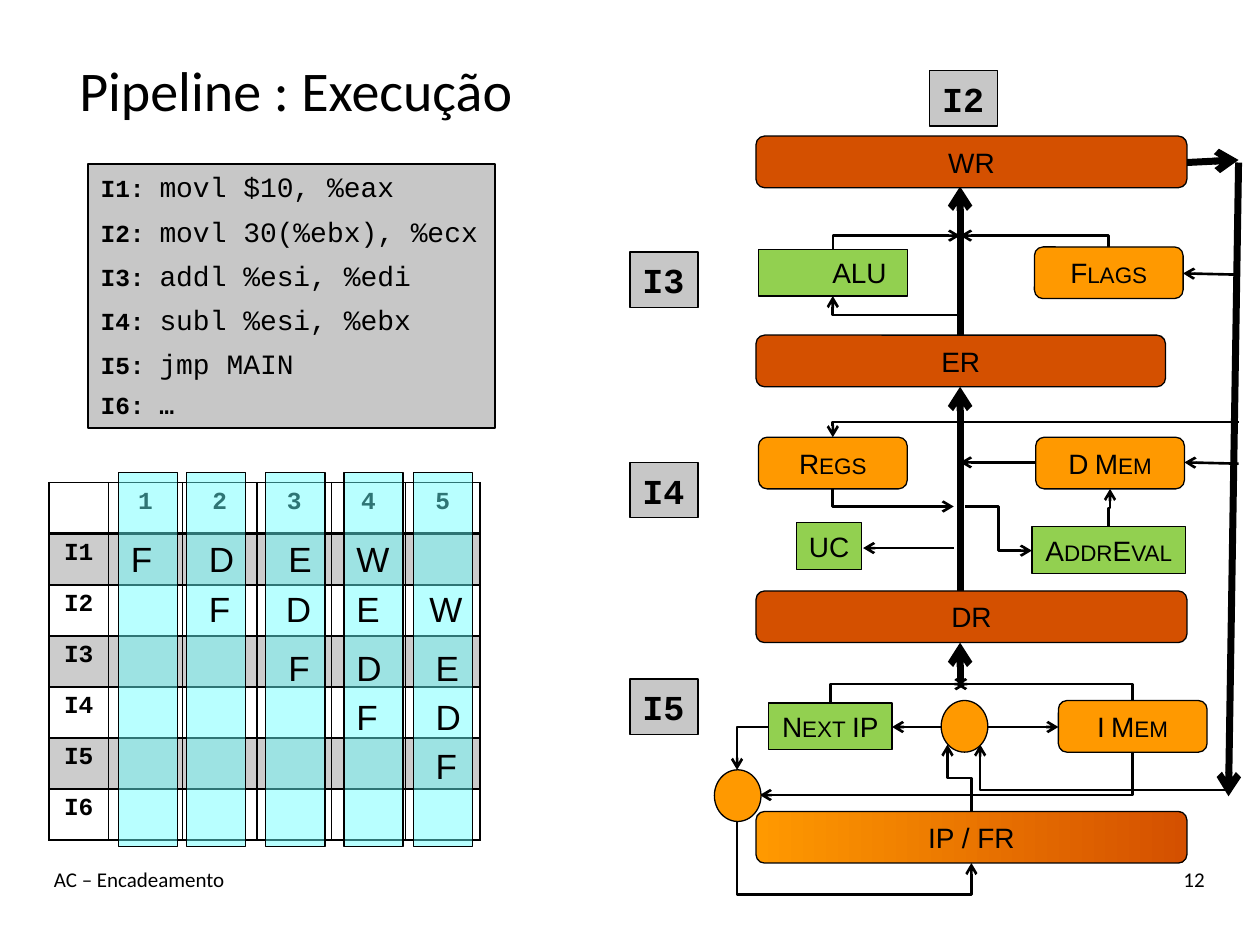
from dataclasses import dataclass
from typing import NamedTuple, Optional

from lxml.etree import SubElement
from pptx import Presentation
from pptx.dml.color import RGBColor
from pptx.enum.shapes import MSO_CONNECTOR, MSO_SHAPE
from pptx.enum.text import MSO_ANCHOR, PP_ALIGN
from pptx.oxml.ns import qn
from pptx.util import Inches, Pt


@dataclass(frozen=True)
class Theme:
    ink: str = "000000"
    grey: str = "C7C7C7"
    cycle: str = "66FFFF"
    unit: str = "FF9900"
    logic: str = "92D050"
    register: str = "D45000"
    heading: str = "Calibri"
    body: str = "Arial"
    code: str = "Courier New"
    title_size: int = 32
    stage_size: int = 20
    unit_size: int = 16
    table_size: int = 14
    footer_size: int = 12
    outline: float = 0.75
    wire: float = 1.5
    bus: float = 4


THEME = Theme()


class Box(NamedTuple):
    left: float
    top: float
    width: float
    height: float


class Unit(NamedTuple):
    label: str
    box: Box
    color: str
    preset: MSO_SHAPE = MSO_SHAPE.ROUNDED_RECTANGLE
    indent: float = 0.1
    fade_to: Optional[str] = None
    wrap: bool = True


class Wire(NamedTuple):
    start: tuple[float, float]
    end: tuple[float, float]
    bends: int = 0
    vertical: bool = False
    weight: float = THEME.wire
    adjust: float = 0.5


def paint(fill, color: str, alpha: Optional[int] = None) -> None:
    fill.solid()
    fill.fore_color.rgb = RGBColor.from_string(color)
    if alpha is not None:
        tint = fill._xPr.find(qn("a:solidFill"))[0]
        SubElement(tint, qn("a:alpha"), val=str(alpha * 1000))


def style(font, name: str, size: float, bold: bool = False) -> None:
    font.name, font.size, font.bold = name, Pt(size), bold
    font.color.rgb = RGBColor.from_string(THEME.ink)


def write(frame, text: str, name: str, size: float, bold: bool = False,
          align: PP_ALIGN = PP_ALIGN.LEFT, anchor: MSO_ANCHOR = MSO_ANCHOR.TOP,
          wrap: bool = True) -> None:
    frame.word_wrap, frame.vertical_anchor = wrap, anchor
    paragraph = frame.paragraphs[0]
    paragraph.text, paragraph.alignment = text, align
    style(paragraph.font, name, size, bold)


def add_label(box: Box, text: str, name: str, size: float, **layout) -> None:
    write(shapes.add_textbox(*map(Inches, box)).text_frame, text, name, size, **layout)


def add_block(box: Box, color: str, preset: MSO_SHAPE = MSO_SHAPE.RECTANGLE,
              alpha: Optional[int] = None, outline: float = THEME.outline):
    block = shapes.add_shape(preset, *map(Inches, box))
    block.shadow.inherit = False
    paint(block.fill, color, alpha)
    paint(block.line.fill, THEME.ink)
    block.line.width = Pt(outline)
    return block


def add_unit(unit: Unit) -> None:
    block = add_block(unit.box, unit.color, unit.preset)
    if unit.fade_to:
        block.fill.gradient()
        block.fill.gradient_angle = 0
        for stop, color in zip(block.fill.gradient_stops, (unit.color, unit.fade_to)):
            stop.color.rgb = RGBColor.from_string(color)
    if unit.label:
        frame = block.text_frame
        frame.margin_left = Inches(unit.indent)
        write(frame, unit.label, THEME.body, THEME.unit_size, align=PP_ALIGN.CENTER,
              anchor=MSO_ANCHOR.MIDDLE, wrap=unit.wrap)
        if not unit.label.isupper():
            frame.paragraphs[0].font._rPr.set("cap", "small")


def add_wire(wire: Wire) -> None:
    (x1, y1), (x2, y2) = wire.start, wire.end
    half_x, half_y = (x2 - x1) / 2, (y2 - y1) / 2
    mid_x, mid_y = x1 + half_x, y1 + half_y
    turn = 0
    if wire.vertical:
        turn = 90 if half_y > 0 else 270
        half_x, half_y = (half_y, -half_x) if half_y > 0 else (-half_y, half_x)
    kind = MSO_CONNECTOR.ELBOW if wire.bends else MSO_CONNECTOR.STRAIGHT
    arrow = shapes.add_connector(kind, *map(Inches, (
        mid_x - half_x, mid_y - half_y, mid_x + half_x, mid_y + half_y)))
    properties = arrow._element.spPr
    if wire.bends:
        properties.xfrm.set("rot", str(turn * 60000))
        geometry = properties.find(qn("a:prstGeom"))
        geometry.set("prst", f"bentConnector{wire.bends + 1}")
        if wire.bends == 2:
            SubElement(geometry.find(qn("a:avLst")), qn("a:gd"), name="adj1",
                       fmla=f"val {round(wire.adjust * 100000)}")
    paint(arrow.line.fill, THEME.ink)
    arrow.line.width = Pt(wire.weight)
    SubElement(properties.find(qn("a:ln")), qn("a:tailEnd"), type="arrow")
    SubElement(properties, qn("a:effectLst"))


def add_schedule() -> None:
    grid = shapes.add_table(7, 6, *map(Inches, (0.39, 3.83, 3.42, 2.84))).table
    for index, column in enumerate(grid.columns):
        column.width = Inches(0.59 if index else 0.47)
    for r, row in enumerate(grid.rows):
        row.height = Inches(2.84 / 7)
        for c, cell in enumerate(row.cells):
            text = (f"I{r}" if r else "") if c == 0 else ("" if r else str(c))
            write(cell.text_frame, text, THEME.code, THEME.table_size, True, PP_ALIGN.CENTER)
            properties = cell._tc.get_or_add_tcPr()
            for edge in ("lnL", "lnR", "lnT", "lnB"):
                thick = (r, edge) in ((0, "lnB"), (1, "lnT"))
                border = SubElement(properties, qn(f"a:{edge}"), w=str(Pt(2 if thick else 1)))
                SubElement(SubElement(border, qn("a:solidFill")), qn("a:srgbClr"), val=THEME.ink)
            if r % 2:
                paint(cell.fill, THEME.ink, 20)
            else:
                cell.fill.background()


def add_program(instructions: list[str]) -> None:
    frame = add_block(Box(0.7, 1.3, 3.23, 2.1), THEME.grey, outline=1.25).text_frame
    frame.word_wrap, frame.vertical_anchor = False, MSO_ANCHOR.TOP
    for number, instruction in enumerate(instructions, 1):
        line = frame.paragraphs[0] if number == 1 else frame.add_paragraph()
        line.alignment, line.space_after = PP_ALIGN.LEFT, Pt(6)
        last = number == len(instructions)
        for text, size, bold in ((f"I{number}: ", THEME.table_size, True),
                                 (instruction, THEME.table_size if last else THEME.unit_size, last)):
            run = line.add_run()
            run.text = text
            style(run.font, THEME.code, size, bold)


deck = Presentation()
deck.slide_width, deck.slide_height = Inches(10), Inches(7.5)
shapes = deck.slides.add_slide(deck.slide_layouts[6]).shapes

add_schedule()
for left in (3.28, 2.73, 2.11, 1.48, 0.94):
    add_block(Box(left, 3.75, 0.47, 2.97), THEME.cycle, alpha=46)
add_label(Box(0.33, 0.25, 4.04, 0.92), "Pipeline : Execução", THEME.heading, THEME.title_size,
          align=PP_ALIGN.CENTER, anchor=MSO_ANCHOR.MIDDLE)
add_label(Box(0.33, 6.83, 7, 0.5), "AC – Encadeamento", THEME.heading, THEME.footer_size)
add_label(Box(8.33, 6.83, 1.33, 0.5), "12", THEME.heading, THEME.footer_size, align=PP_ALIGN.RIGHT)
add_program(["movl $10, %eax", "movl 30(%ebx), %ecx", "addl %esi, %edi",
             "subl %esi, %ebx", "jmp MAIN", "…"])

STAGES = (("F", 0.37), ("D", 0.4), ("E", 0.39), ("W", 0.47))
NUDGES = {(2, 1): -0.02, (4, 1): -0.05}
for cycle, left in enumerate((0.94, 1.56, 2.19, 2.73, 3.36)):
    for row, top in enumerate((4.22, 4.61, 5.08, 5.47, 5.86)):
        if 0 <= cycle - row < len(STAGES):
            stage, width = STAGES[cycle - row]
            add_label(Box(left + NUDGES.get((cycle, row), 0), top, width, 0.44),
                      stage, THEME.body, THEME.stage_size, wrap=False)

SPINE = 7.62
for wire in (
    *(Wire((SPINE, low), (SPINE, high), weight=THEME.bus)
      for low, high in ((5.41, 5.1), (4.69, 3.07), (2.66, 1.48))),
    Wire((9.42, 1.29), (9.83, 1.27), weight=THEME.bus),
    Wire((9.83, 1.29), (9.75, 6.32), weight=THEME.bus),
    Wire((9.83, 2.18), (9.39, 2.17)), Wire((9.83, 3.68), (9.4, 3.67)),
    Wire((7.57, 4.35), (6.85, 4.35)), Wire((8.22, 3.67), (SPINE, 3.67)),
    Wire((7.83, 5.77), (8.4, 5.77)), Wire((7.47, 5.77), (7.08, 5.77)),
    Wire((6.59, 5.58), (7.67, 5.43), 1, True), Wire((8.99, 5.56), (7.58, 5.43), 1, True),
    Wire((6.61, 3.88), (7.57, 4.02), 1, True), Wire((SPINE, 2.5), (6.61, 2.35), 1),
    Wire((6.61, 1.98), (SPINE, 1.87), 1, True), Wire((8.8, 1.96), (SPINE, 1.87), 1, True),
    Wire((9.83, 3.35), (6.61, 3.47), 1), Wire((9.75, 6.27), (7.78, 5.91), 1),
    Wire((6.1, 5.77), (5.85, 6.11), 1), Wire((8.99, 5.97), (6.03, 6.31), 1, True),
    Wire((7.71, 6.44), (7.52, 5.91), 2, True), Wire((7.66, 4.02), (8.19, 4.37), 2),
    Wire((8.8, 4.18), (8.81, 3.88), 2, True),
    Wire((5.85, 6.52), (7.71, 6.85), 2, True, adjust=1.75),
):
    add_wire(wire)

RECT, OVAL = MSO_SHAPE.RECTANGLE, MSO_SHAPE.OVAL
for unit in (
    *(Unit(label, Box(6, top, width, 0.41), THEME.register)
      for label, top, width in (("WR", 1.08, 3.42), ("ER", 2.66, 3.25), ("DR", 4.69, 3.42))),
    Unit("IP / FR", Box(6, 6.44, 3.42, 0.41), THEME.unit, fade_to=THEME.register),
    *(Unit(label, Box(left, top, 1.18, 0.41), THEME.unit)
      for label, left, top in (("Flags", 8.21, 1.96), ("Regs", 6.02, 3.47),
                               ("D Mem", 8.22, 3.47), ("I Mem", 8.4, 5.56))),
    Unit("ALU", Box(6.02, 1.98, 1.18, 0.37), THEME.logic, RECT, indent=0.52),
    *(Unit(label, Box(left, top, width, 0.37), THEME.logic, RECT, wrap=False)
      for label, left, top, width in (("UC", 6.32, 4.15, 0.52), ("AddrEval", 8.19, 4.18, 1.22),
                                      ("Next IP", 6.1, 5.58, 0.98))),
    *(Unit("", Box(left, top, 0.37, 0.41), THEME.unit, OVAL)
      for left, top in ((7.47, 5.56), (5.67, 6.11))),
):
    add_unit(unit)

for tag, left, top in (("I2", 7.38, 0.56), ("I3", 5, 2), ("I4", 5, 3.67), ("I5", 5, 5.39)):
    write(add_block(Box(left, top, 0.54, 0.44), THEME.grey).text_frame, tag, THEME.code,
          THEME.stage_size, bold=True, anchor=MSO_ANCHOR.MIDDLE, wrap=False)

deck.save("out.pptx")
